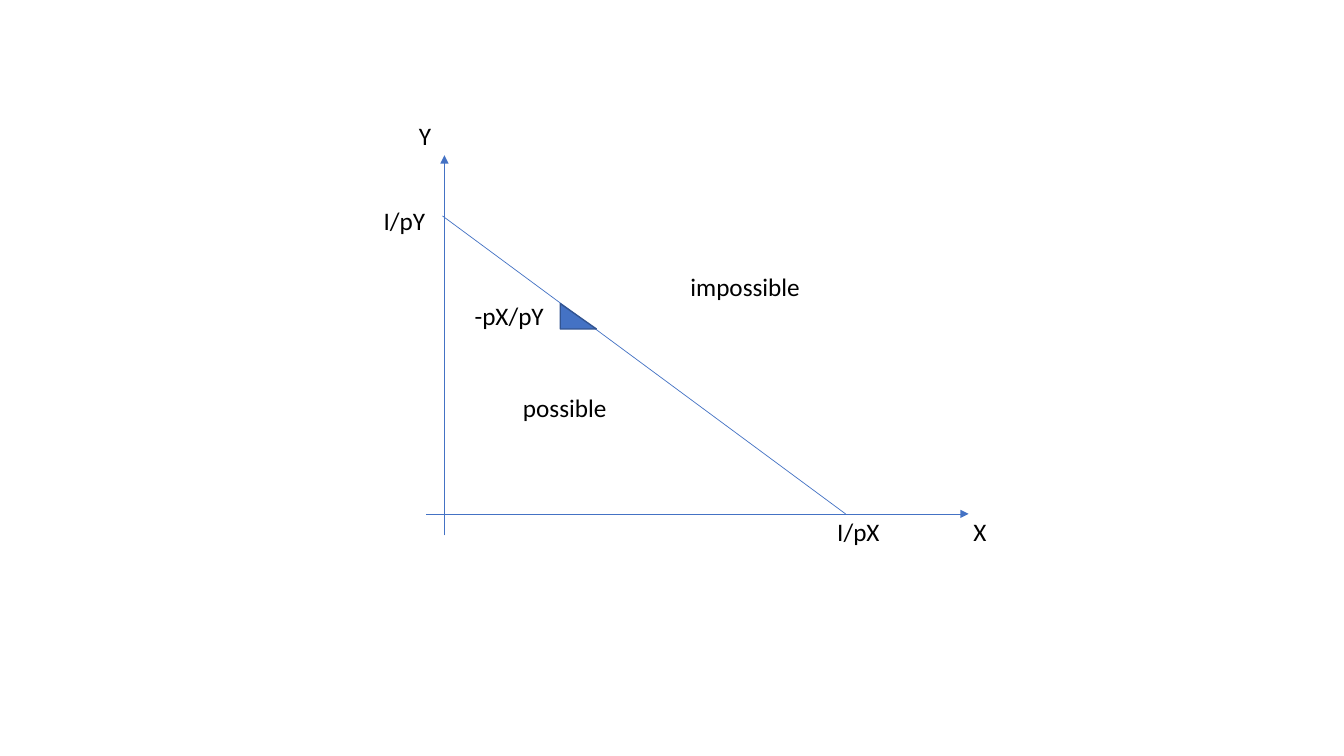
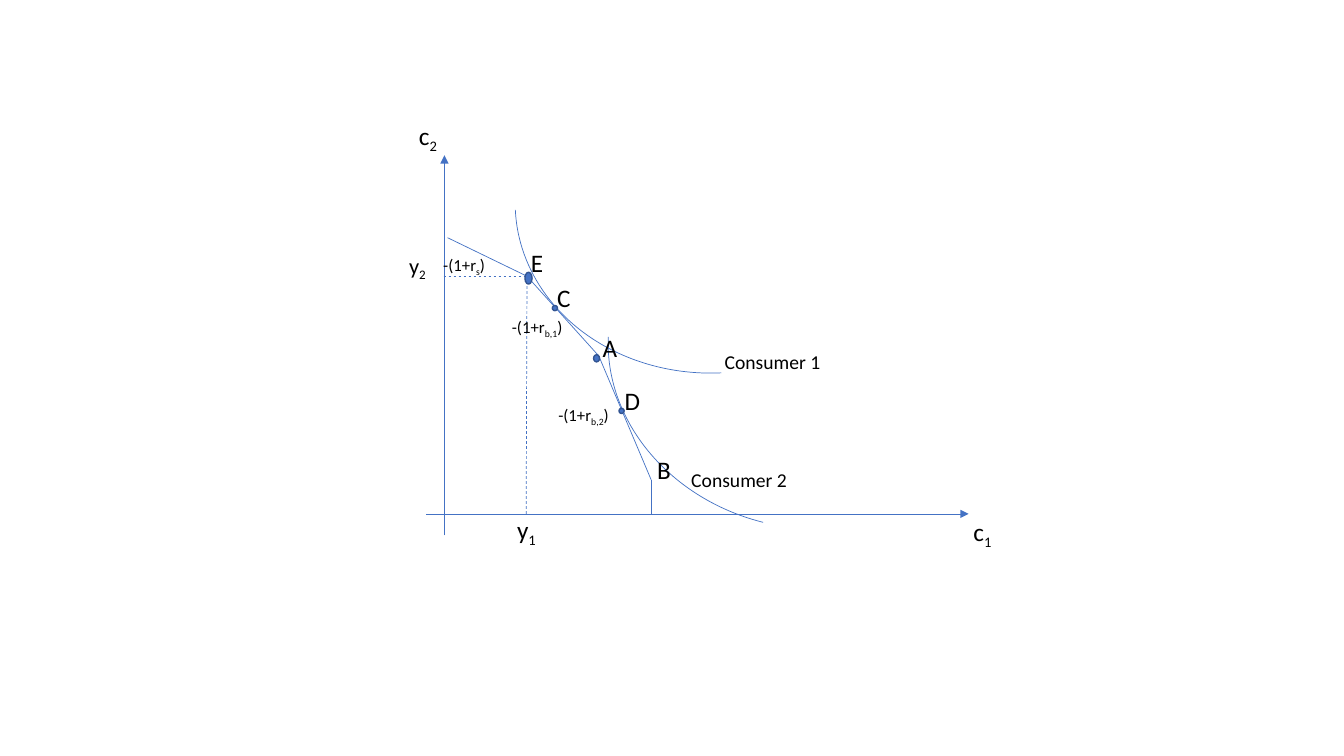
from collections import namedtuple
from itertools import pairwise

from lxml import etree
from pptx import Presentation
from pptx import util as u
from pptx.dml.color import RGBColor
from pptx.enum import dml, shapes, text
from pptx.oxml.ns import qn

COLOURS = {"line": "4472C4", "edge": "325491", "text": "000000"}
FONT = "Calibri"
Box = namedtuple("Box", "left top width height")
DIAGRAM = Box(10.74, 3.91, 13.67, 9.58)
ORIGIN_X, ORIGIN_Y = 0.46, 9.04


def colour(name):
    """Return a palette colour."""
    return RGBColor.from_string(COLOURS[name])


def place(box, left, top, width, height):
    """Turn lengths inside the box into slide lengths."""
    return u.Cm(box.left + left), u.Cm(box.top + top), u.Cm(width), u.Cm(height)


def add_label(slide, box, left, top, width, parts, size=18):
    """Add a label whose every second part is a subscript."""
    height = size * 0.043 + 0.25
    label = slide.shapes.add_textbox(*place(box, left, top, width, height))
    frame = label.text_frame
    frame.word_wrap = False
    frame.auto_size = text.MSO_AUTO_SIZE.SHAPE_TO_FIT_TEXT
    paragraph = frame.paragraphs[0]
    for index, part in enumerate(parts):
        run = paragraph.add_run()
        run.text = part
        run.font.name = FONT
        run.font.size = u.Pt(size)
        run.font.color.rgb = colour("text")
        if index % 2:
            run._r.get_or_add_rPr().set("baseline", "-25000")


def add_line(slide, box, start, end, dashed=False, arrow=False):
    """Add a thin straight line between two points of the box."""
    points = [u.Cm(edge + offset)
              for point in (start, end)
              for edge, offset in zip((box.left, box.top), point)]
    connector = slide.shapes.add_connector(shapes.MSO_CONNECTOR.STRAIGHT, *points)
    connector.line.color.rgb = colour("line")
    connector.line.width = u.Pt(0.5)
    if dashed:
        connector.line.dash_style = dml.MSO_LINE.DASH
    properties = connector._element.spPr
    if arrow:
        outline = properties.find(qn("a:ln"))
        etree.SubElement(outline, qn("a:tailEnd"), type="triangle")
    etree.SubElement(properties, qn("a:effectLst"))


def add_marker(slide, box, kind, *bounds):
    """Add a small filled shape with a dark edge."""
    shape = slide.shapes.add_shape(kind, *place(box, *bounds))
    shape.shadow.inherit = False
    shape.fill.solid()
    shape.fill.fore_color.rgb = colour("line")
    shape.line.color.rgb = colour("edge")
    shape.line.width = u.Pt(1)


def add_curve(slide, box, left, top, rotation, end_angle):
    """Add an indifference curve as a turned arc."""
    shape = slide.shapes.add_shape(
        shapes.MSO_SHAPE.ARC, *place(box, left, top, 9.98, 8.69))
    shape.adjustments[0] = 270 * 0.6
    shape.adjustments[1] = end_angle * 0.6
    shape.rotation = rotation
    shape.shadow.inherit = False
    shape.fill.background()
    shape.line.color.rgb = colour("line")
    shape.line.width = u.Pt(0.5)


def add_axes(slide, box, across, up):
    """Add the two arrowed axes and their names."""
    add_line(slide, box, (ORIGIN_X, box.height), (ORIGIN_X, 0), arrow=True)
    add_line(slide, box, (0, ORIGIN_Y), (box.width, ORIGIN_Y), arrow=True)
    for left, top, parts in ((13.54, 8.97, across), (-0.43, -1.01, up)):
        add_label(slide, box, left, top, 0.6 + 0.2 * (len(parts)), parts)


def build_budget_line(slide, box):
    """Draw the budget line with its slope and intercepts."""
    add_axes(slide, box, ("X",), ("Y",))
    add_line(slide, box, (10.57, ORIGIN_Y), (0.41, 1.53))
    add_marker(slide, box, shapes.MSO_SHAPE.RIGHT_TRIANGLE, 3.38, 3.74, 0.91, 0.64)
    for left, top, width, words in (
        (10.11, 8.97, 1.6, "I/pX"),
        (-1.32, 1.14, 1.6, "I/pY"),
        (0.97, 3.53, 2.29, "-pX/pY"),
        (2.19, 5.84, 2.64, "possible"),
        (6.41, 2.8, 3.3, "impossible"),
    ):
        add_label(slide, box, left, top, width, (words,))


def build_borrowing(slide, box):
    """Draw the kinked budget line with both consumers' choices."""
    add_axes(slide, box, ("c", "1"), ("c", "2"))
    endowment = (2.54, 3.05)
    kinks = ((0.54, 2.08), endowment, (4.35, 5.06), (5.67, 8.18), (5.67, ORIGIN_Y))
    for start, end in pairwise(kinks):
        add_line(slide, box, start, end)
    add_line(slide, box, (2.52, ORIGIN_Y), (2.54, 3.25), dashed=True)
    add_line(slide, box, (0.44, 3.05), endowment, dashed=True)
    add_curve(slide, box, 2.24, -3.2, 177.3, 360 - 360)
    add_curve(slide, box, 4.55, 0.69, 194, 351.25)
    for bounds in (
        (4.22, 5.03, 0.15, 0.18),
        (2.49, 2.95, 0.18, 0.3),
        (3.18, 3.79, 0.13, 0.13),
        (4.86, 6.38, 0.13, 0.13),
    ):
        add_marker(slide, box, shapes.MSO_SHAPE.OVAL, *bounds)
    for left, top, width, parts, size in (
        (4.2, 4.35, 0.89, ("A",), 18),
        (5.57, 7.42, 0.86, ("B",), 18),
        (3.05, 3.08, 0.86, ("C",), 18),
        (4.75, 5.67, 0.91, ("D",), 18),
        (2.39, 2.21, 0.81, ("E",), 18),
        (2.04, 8.92, 1.02, ("y", "1"), 18),
        (-0.68, 2.31, 0.97, ("y", "2"), 16),
        (7.27, 4.78, 2.95, ("Consumer 1",), 14),
        (6.43, 7.75, 2.95, ("Consumer 2",), 14),
        (0.18, 2.39, 1.57, ("-(1+r", "s", ")"), 12),
        (1.91, 3.94, 1.85, ("-(1+r", "b,1", ")"), 12),
        (3.08, 6.17, 1.85, ("-(1+r", "b,2", ")"), 12),
    ):
        add_label(slide, box, left, top, width, parts, size)


def main():
    """Build and save the presentation."""
    presentation = Presentation()
    presentation.slide_width = u.Cm(33.87)
    presentation.slide_height = u.Cm(19.05)
    for build in (build_budget_line, build_borrowing):
        build(presentation.slides.add_slide(presentation.slide_layouts[6]), DIAGRAM)
    presentation.save("out.pptx")


if __name__ == "__main__":
    main()
